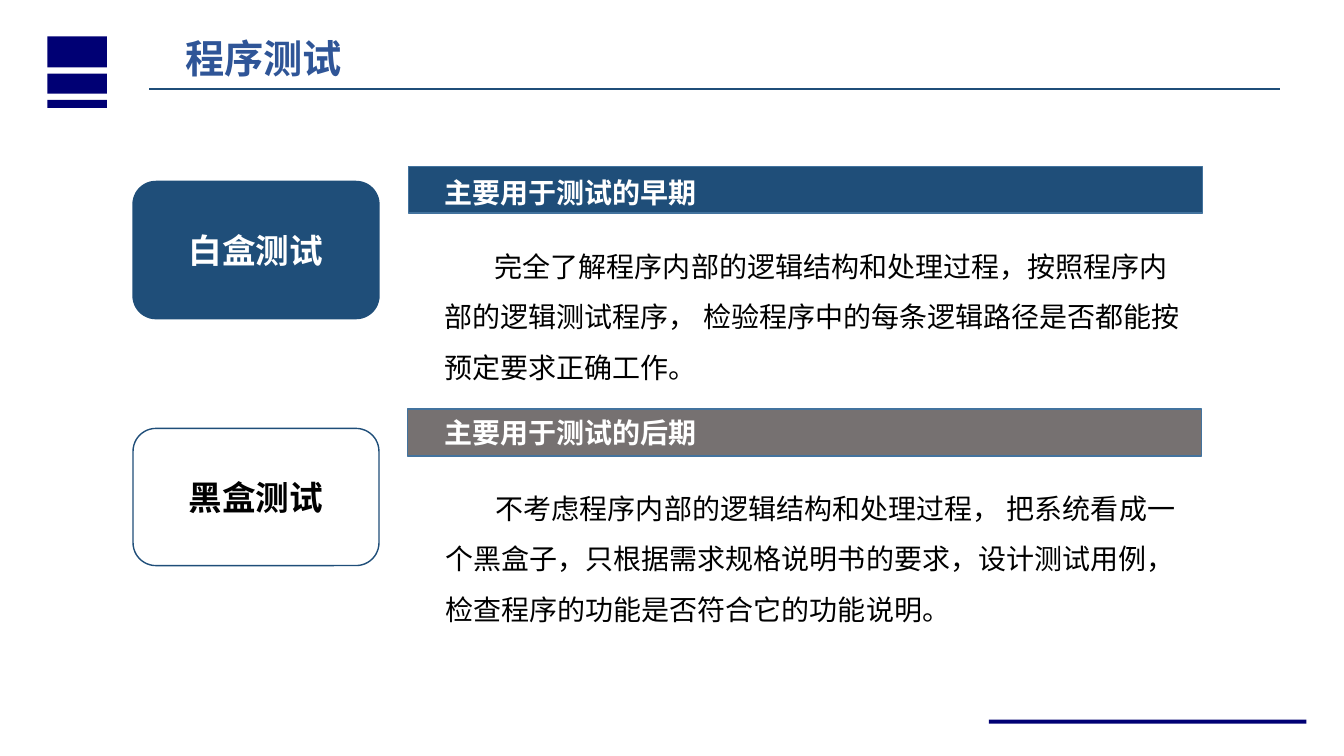
from dataclasses import dataclass
from typing import Any, Optional

from lxml import etree
from pptx import Presentation
from pptx.dml import color
from pptx.enum import shapes, text
from pptx.oxml import ns
from pptx.util import Pt


@dataclass(frozen=True)
class Theme:
    font: str = "Noto Sans CJK SC"
    navy: str = "000074"
    blue: str = "1F4E79"
    edge: str = "43739E"
    gray: str = "767171"
    title: str = "2F5597"
    white: str = "FFFFFF"
    black: str = "000000"
    title_size: float = 28
    box_size: float = 24
    body_size: float = 20
    line_width: float = 1
    rule_width: float = 1.25


@dataclass(frozen=True)
class Area:
    left: float
    top: float
    width: float
    height: float

    def lengths(self) -> tuple:
        return tuple(Pt(value) for value in (self.left, self.top, self.width, self.height))


@dataclass(frozen=True)
class Section:
    name: str
    name_color: str
    box_fill: str
    box: Area
    stage: str
    bar_fill: str
    bar: Area
    stage_area: Area
    description: str
    description_area: Area


THEME = Theme()
RECTANGLE = shapes.MSO_SHAPE.RECTANGLE
ROUNDED = shapes.MSO_SHAPE.ROUNDED_RECTANGLE

ACCENT_BARS = [Area(33.84, top, 42.48, height)
               for top, height in ((25.92, 22.32), (52.56, 14.4), (71.28, 5.76))]
FOOTER_BAR = Area(706.32, 514.08, 226.8, 2.88)

SECTIONS = [
    Section("白盒测试", THEME.white, THEME.blue, Area(95.04, 129.6, 175.68, 98),
            "主要用于测试的早期", THEME.blue, Area(291.6, 118.8, 567.36, 33.5),
            Area(310.32, 121.68, 361.44, 31.5),
            "完全了解程序内部的逻辑结构和处理过程，按照程序内部的逻辑测试程序， "
            "检验程序中的每条逻辑路径是否都能按预定要求正确工作。",
            Area(310.32, 162.72, 547.92, 150.48)),
    Section("黑盒测试", THEME.black, THEME.white, Area(95.04, 306, 175.68, 98),
            "主要用于测试的后期", THEME.gray, Area(290.88, 292.32, 567.36, 33.5),
            Area(310.32, 293.04, 397.44, 31.5),
            "不考虑程序内部的逻辑结构和处理过程， 把系统看成一个黑盒子，"
            "只根据需求规格说明书的要求，设计测试用例，检查程序的功能是否符合它的功能说明。",
            Area(311.04, 335.52, 547.92, 112.32)),
]


def set_attributes(target: Any, formats: dict) -> None:
    for name, value in formats.items():
        setattr(target, name, value)


def write_text(shape: Any, content: str, size: float, fill: str, bold: bool = True,
               frame_formats: Optional[dict] = None,
               paragraph_formats: Optional[dict] = None, indent: float = 0) -> None:
    frame = shape.text_frame
    set_attributes(frame, {"word_wrap": True, **(frame_formats or {})})
    paragraph = frame.paragraphs[0]
    set_attributes(paragraph, paragraph_formats or {})
    if indent:
        properties = paragraph._p.get_or_add_pPr()
        properties.set("marL", "0")
        properties.set("indent", str(int(Pt(indent))))
    run = paragraph.add_run()
    run.text = content
    set_attributes(run.font, {"name": THEME.font, "size": Pt(size), "bold": bold})
    run.font.color.rgb = color.RGBColor.from_string(fill)
    east_asian = etree.SubElement(run._r.get_or_add_rPr(), ns.qn("a:ea"))
    east_asian.set("typeface", THEME.font)


def add_block(parent: Any, kind: Any, area: Area, fill: str, edge: Optional[str] = None) -> Any:
    shape = parent.shapes.add_shape(kind, *area.lengths())
    shape.shadow.inherit = False
    shape.fill.solid()
    shape.fill.fore_color.rgb = color.RGBColor.from_string(fill)
    if edge:
        shape.line.color.rgb = color.RGBColor.from_string(edge)
        shape.line.width = Pt(THEME.line_width)
    else:
        shape.line.fill.background()
    return shape


def add_label(parent: Any, area: Area, content: str, size: float, fill: str,
              **options: Any) -> None:
    write_text(parent.shapes.add_textbox(*area.lengths()), content, size, fill, **options)


def add_section(slide: Any, section: Section) -> None:
    box = add_block(slide, ROUNDED, section.box, section.box_fill, THEME.blue)
    write_text(box, section.name, THEME.box_size, section.name_color,
               frame_formats={"vertical_anchor": text.MSO_ANCHOR.MIDDLE},
               paragraph_formats={"alignment": text.PP_ALIGN.CENTER})
    group = slide.shapes.add_group_shape()
    add_block(group, RECTANGLE, section.bar, section.bar_fill, THEME.edge)
    add_label(group, section.stage_area, section.stage, THEME.body_size, THEME.white)
    add_label(group, section.description_area, section.description, THEME.body_size,
              THEME.black, bold=False, paragraph_formats={"line_spacing": 1.5}, indent=36)


def add_title_rule(slide: Any) -> None:
    rule = slide.shapes.add_connector(shapes.MSO_CONNECTOR.STRAIGHT,
                                      Pt(106.56), Pt(63.5), Pt(914.4), Pt(63.5))
    rule.line.color.rgb = color.RGBColor.from_string(THEME.blue)
    rule.line.width = Pt(THEME.rule_width)
    etree.SubElement(rule._element.spPr, ns.qn("a:effectLst"))


def main() -> None:
    presentation = Presentation()
    set_attributes(presentation, {"slide_width": Pt(960), "slide_height": Pt(540)})
    slide = presentation.slides.add_slide(presentation.slide_layouts[6])
    for area in (*ACCENT_BARS, FOOTER_BAR):
        add_block(slide, RECTANGLE, area, THEME.navy)
    for section in SECTIONS:
        add_section(slide, section)
    add_label(slide, Area(125.28, 20.88, 309.6, 41.04), "程序测试",
              THEME.title_size, THEME.title)
    add_title_rule(slide)
    presentation.save("out.pptx")


if __name__ == "__main__":
    main()
